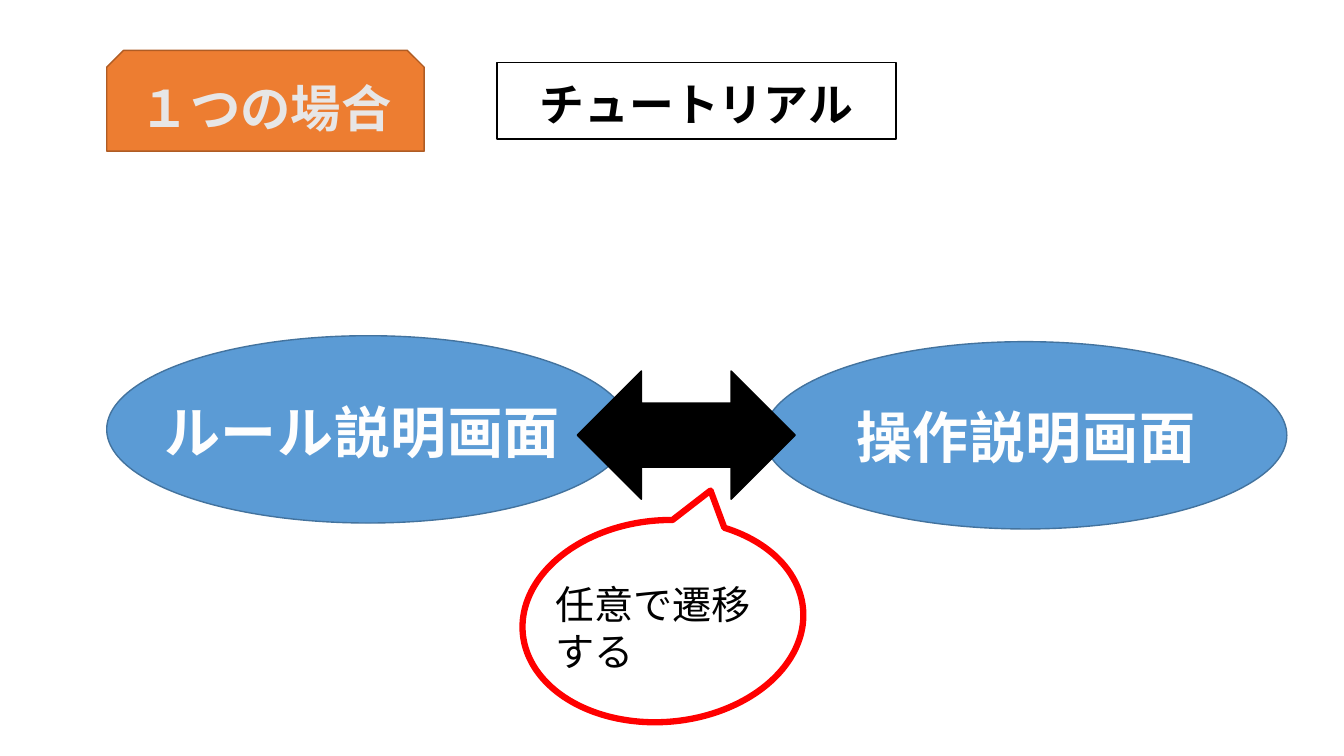
from lxml import etree
from pptx import Presentation
from pptx.dml.color import RGBColor
from pptx.enum.shapes import MSO_SHAPE
from pptx.enum.text import MSO_ANCHOR, MSO_AUTO_SIZE, PP_ALIGN
from pptx.oxml.ns import qn
from pptx.util import Cm, Pt

SNIPPED = MSO_SHAPE.SNIP_2_SAME_RECTANGLE
ELLIPSE = MSO_SHAPE.OVAL
CALLOUT = MSO_SHAPE.OVAL_CALLOUT
DOUBLE_ARROW = MSO_SHAPE.LEFT_RIGHT_ARROW
LEFT, CENTER = PP_ALIGN.LEFT, PP_ALIGN.CENTER
TOP, MIDDLE = MSO_ANCHOR.TOP, MSO_ANCHOR.MIDDLE
NO_AUTOFIT = MSO_AUTO_SIZE.NONE

WHITE = RGBColor(0xFF, 0xFF, 0xFF)
BLACK = RGBColor(0, 0, 0)
RED = RGBColor(0xFF, 0, 0)
ORANGE = RGBColor(0xED, 0x7D, 0x31)
DARK_ORANGE = RGBColor(0xAF, 0x5C, 0x24)
BLUE = RGBColor(0x5B, 0x9B, 0xD5)
DARK_BLUE = RGBColor(0x43, 0x73, 0x9E)
LIGHT_GRAY = RGBColor(0xE7, 0xE6, 0xE6)
NEAR_WHITE = RGBColor(0xFE, 0xFE, 0xFE)


class SlideBuilder:
    font_name = "Noto Sans CJK JP"

    def __init__(self, presentation):
        self.slide = presentation.slides.add_slide(presentation.slide_layouts[5])

    def paint(self, shape, fill, line, width=1):
        if fill is None:
            shape.fill.background()
        else:
            shape.fill.solid()
            shape.fill.fore_color.rgb = fill
        shape.line.color.rgb = line
        shape.line.width = Pt(width)

    def set_text(self, shape, text, size, color, bold=True, align=CENTER, spacing=0, **frame_format):
        frame = shape.text_frame
        frame_values = {"word_wrap": True, "auto_size": NO_AUTOFIT, "vertical_anchor": TOP}
        for name, value in (frame_values | frame_format).items():
            setattr(frame, name, value)
        paragraph = frame.paragraphs[0]
        paragraph.alignment = align
        run = paragraph.add_run()
        run.text = text
        for name, value in {"name": self.font_name, "size": Pt(size), "bold": bold}.items():
            setattr(run.font, name, value)
        run.font.color.rgb = color
        properties = run._r.get_or_add_rPr()
        etree.SubElement(properties, qn("a:ea"), typeface=self.font_name)
        if spacing:
            properties.set("spc", str(spacing))

    def title(self, text, box, size):
        title = self.slide.shapes.title
        for name, value in zip(("left", "top", "width", "height"), box):
            setattr(title, name, Cm(value))
        self.paint(title, WHITE, BLACK)
        self.set_text(title, text, size, BLACK, vertical_anchor=MIDDLE,
                      margin_top=Cm(0.2), margin_bottom=Cm(0.05))

    def shape(self, kind, box, fill, line, width=1, rotation=0):
        shape = self.slide.shapes.add_shape(kind, *map(Cm, box))
        shape.shadow.inherit = False
        shape.rotation = rotation
        self.paint(shape, fill, line, width)

    def label(self, text, box, size, color, **text_format):
        label = self.slide.shapes.add_textbox(*map(Cm, box))
        self.set_text(label, text, size, color, **text_format)


def main():
    presentation = Presentation()
    presentation.slide_width = Cm(33.87)
    presentation.slide_height = Cm(19.05)
    builder = SlideBuilder(presentation)

    builder.title("チュートリアル", (12.52, 1.57, 10.06, 1.93), 32)
    builder.shape(SNIPPED, (2.69, 1.27, 8, 2.54), ORANGE, DARK_ORANGE)
    builder.label("１つの場合", (1.78, 1.83, 9.83, 1.8), 36, LIGHT_GRAY)

    screens = (
        ("操作説明画面", 19.25, 8.61, CENTER),
        ("ルール説明画面", 2.69, 8.46, LEFT),
    )
    for name, left, top, align in screens:
        builder.shape(ELLIPSE, (left, top, 13.18, 4.72), BLUE, DARK_BLUE)
        builder.label(name, (left + 1.2, top + 1.42, 10.8, 1.96), 40, NEAR_WHITE,
                      align=align, spacing=50)

    builder.shape(CALLOUT, (13.16, 13.11, 7.09, 5.08), None, RED, 4.5, 175.1)
    builder.label("任意で遷移する", (13.74, 14.5, 5.51, 2.64), 28, BLACK, bold=False, align=LEFT)
    builder.shape(DOUBLE_ARROW, (14.55, 9.35, 5.49, 3.23), BLACK, BLACK)

    presentation.save("out.pptx")


if __name__ == "__main__":
    main()
